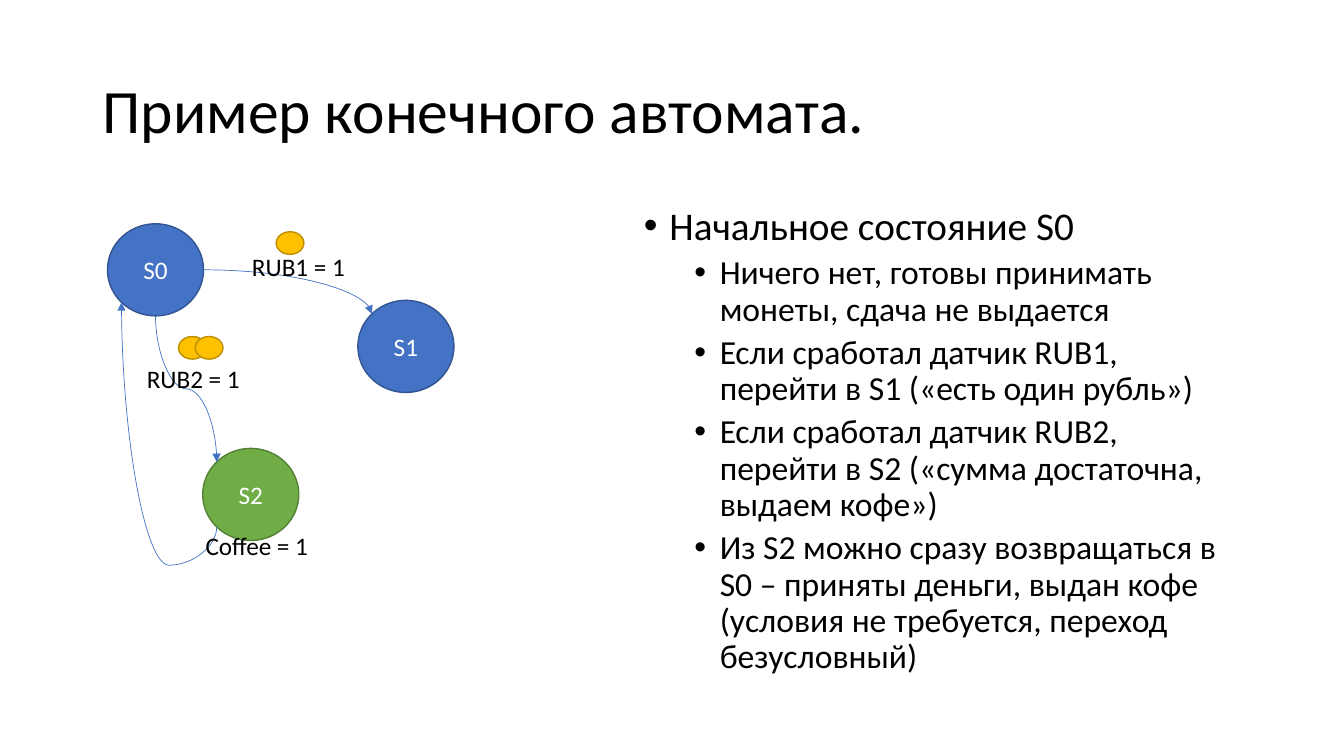
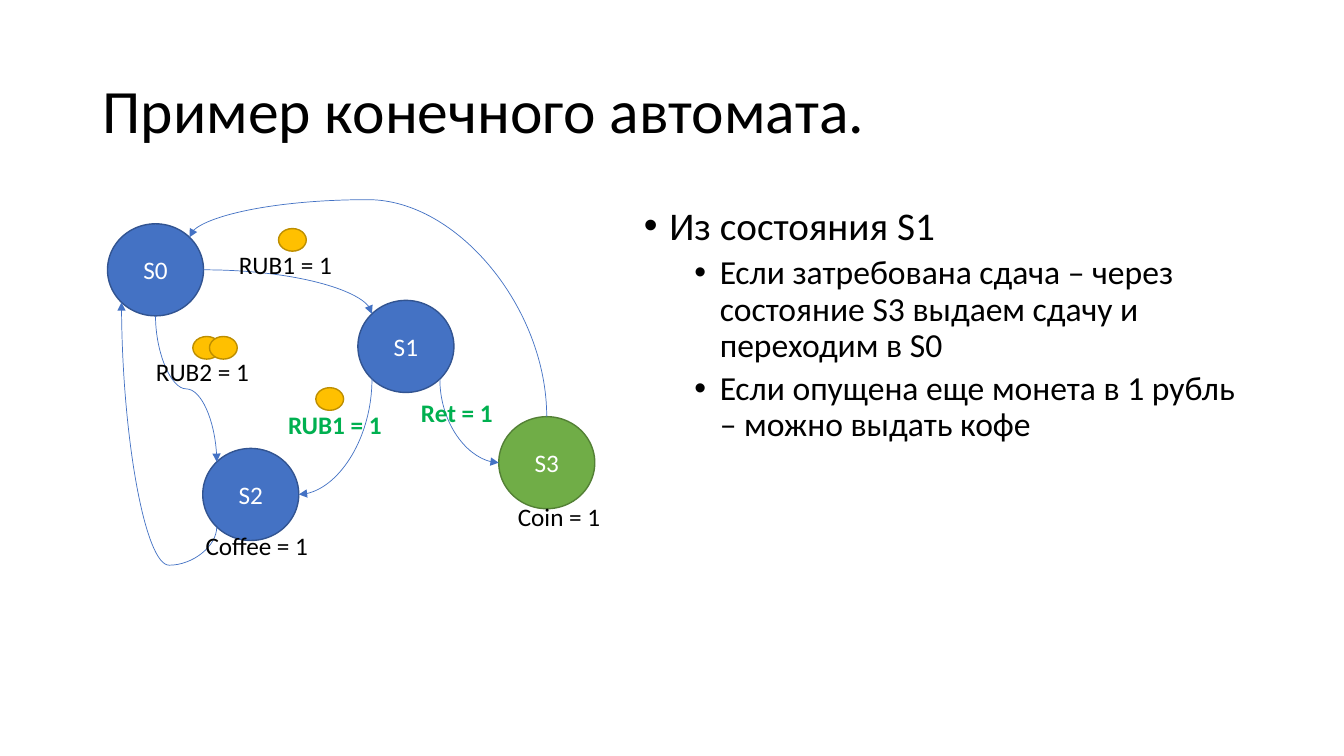
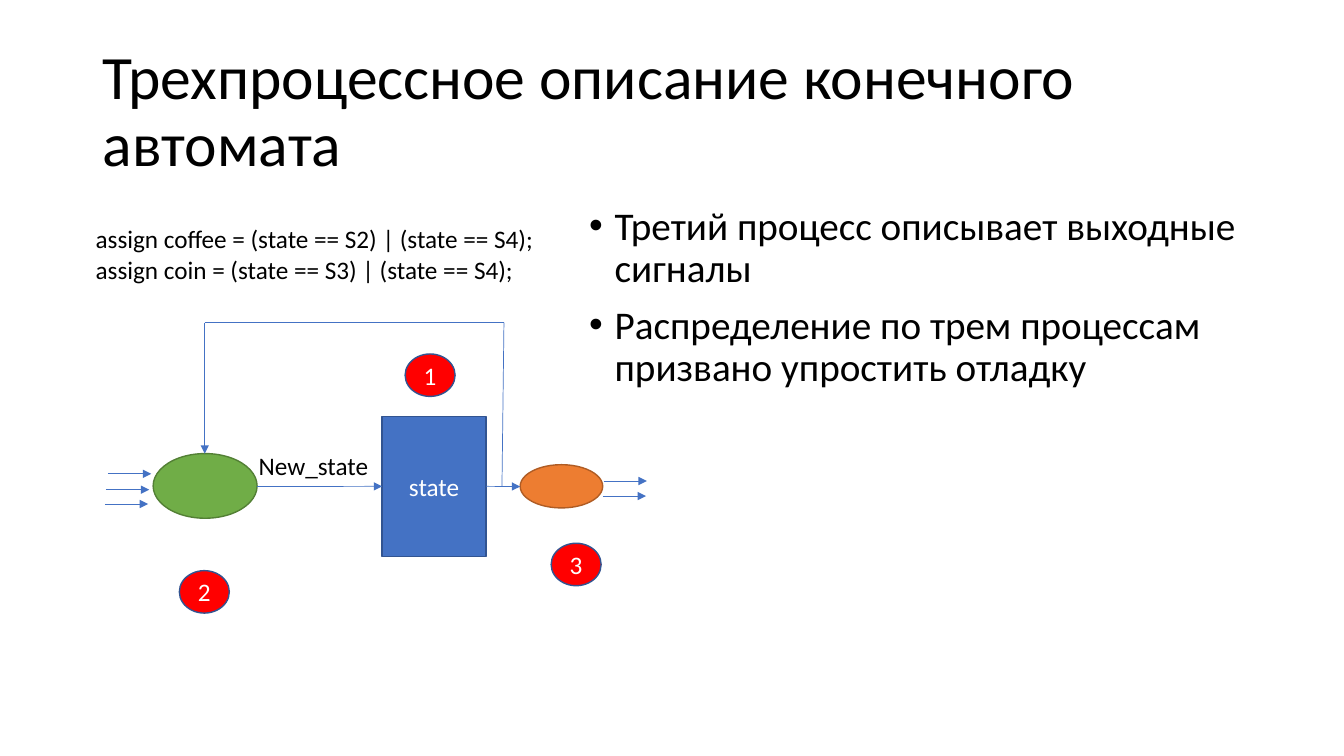
from math import cos, radians, sin

from lxml import etree
from pptx import Presentation
from pptx import util as u
from pptx.dml.color import RGBColor
from pptx.enum import shapes, text
from pptx.oxml.ns import qn

HUES = {
    "ink": "000000", "white": "FFFFFF", "lime": "00B050",
    "blue": "4472C4", "navy": "325491",
    "green": "70AD47", "moss": "538035",
    "gold": "FFC000", "ochre": "BD8E00",
    "orange": "ED7D31", "rust": "AF5C24", "red": "FF0000",
}
# Outline that goes with each fill
EDGES = {"blue": "navy", "green": "moss", "gold": "ochre",
         "orange": "rust", "red": "navy"}
FONTS = {
    "title": {"name": "Calibri", "size": u.Pt(44), "bold": False},
    "main": {"name": "Calibri", "size": u.Pt(28)},
    "sub": {"name": "Calibri", "size": u.Pt(24)},
    "note": {"name": "Calibri", "size": u.Pt(18)},
    "strong": {"name": "Calibri", "size": u.Pt(18), "bold": True},
}
LEFT, MID = text.PP_ALIGN.LEFT, text.PP_ALIGN.CENTER
TOP, CENTRE = text.MSO_ANCHOR.TOP, text.MSO_ANCHOR.MIDDLE
OVAL, RECT = shapes.MSO_SHAPE.OVAL, shapes.MSO_SHAPE.RECTANGLE
CORE = "Пример конечного автомата."


def hue(name):
    return RGBColor.from_string(HUES[name])


def site(node, idx):
    """Point on an ellipse; sites run anticlockwise from the top, 45 degrees apart."""
    turn = radians(90 + 45 * idx)
    return (node.left + node.width / 2 * (1 + cos(turn)),
            node.top + node.height / 2 * (1 - sin(turn)))


class Deck:
    def __init__(self):
        self.prs = Presentation()
        self.prs.slide_width, self.prs.slide_height = u.Cm(33.87), u.Cm(19.05)
        self.slide = None

    def page(self, title):
        self.slide = self.prs.slides.add_slide(self.prs.slide_layouts[5])
        head = self.slide.shapes.title
        place = dict(zip(("left", "top", "width", "height"),
                         map(u.Cm, (2.33, 1.01, 29.21, 3.68))))
        for key, val in place.items():
            setattr(head, key, val)
        self.label(head, [title], "title", anchor=CENTRE)
        head.text_frame.paragraphs[0].line_spacing = 0.9

    def label(self, shape, lines, style, color="ink", align=LEFT, anchor=TOP):
        frame = shape.text_frame
        form = {"word_wrap": True, "auto_size": text.MSO_AUTO_SIZE.NONE,
                "vertical_anchor": anchor}
        for key, val in form.items():
            setattr(frame, key, val)
        for i, line in enumerate(lines):
            para = frame.paragraphs[0] if i == 0 else frame.add_paragraph()
            para.alignment = align
            self.words(para, line, style, color)

    def words(self, para, line, style, color="ink"):
        run = para.add_run()
        run.text = line
        for key, val in FONTS[style].items():
            setattr(run.font, key, val)
        run.font.color.rgb = hue(color)

    def note(self, x, y, lines, w=3.5, h=1.03, style="note", color="ink"):
        box = self.slide.shapes.add_textbox(*map(u.Cm, (x, y, w, h)))
        self.label(box, lines, style, color)

    def points(self, x, w, h, items):
        """Bulleted text: items are (level, line) pairs."""
        box = self.slide.shapes.add_textbox(*map(u.Cm, (x, 5.08, w, h)))
        frame = box.text_frame
        frame.word_wrap = True
        for i, (level, line) in enumerate(items):
            para = frame.paragraphs[0] if i == 0 else frame.add_paragraph()
            form = {"level": level, "line_spacing": 0.9,
                    "space_before": u.Pt(5 if level else 10)}
            for key, val in form.items():
                setattr(para, key, val)
            self.words(para, line, "sub" if level else "main")
            props = para._p.get_or_add_pPr()
            props.set("marL", str(u.Cm(1.91 if level else 0.64)))
            props.set("indent", str(-u.Cm(0.64)))
            etree.SubElement(props, qn("a:buFont"), typeface="Arial")
            etree.SubElement(props, qn("a:buChar"), char="•")

    def shape(self, x, y, w, h, fill, label="", kind=OVAL):
        form = self.slide.shapes.add_shape(kind, *map(u.Cm, (x, y, w, h)))
        form.shadow.inherit = False
        form.fill.solid()
        form.fill.fore_color.rgb = hue(fill)
        form.line.color.rgb = hue(EDGES[fill])
        form.line.width = u.Pt(1)
        if label:
            self.label(form, [label], "note", "white", MID, CENTRE)
        return form

    def node(self, x, y, label, fill="blue"):
        return self.shape(x, y, 2.42, 2.32, fill, label)

    def coins(self, *spots):
        for x, y in spots:
            self.shape(x, y, 0.7, 0.57, "gold")

    def ink(self, link, arrow=True):
        link.line.color.rgb = hue("blue")
        link.line.width = u.Pt(0.5)
        props = link._element.spPr
        if arrow:
            etree.SubElement(props.find(qn("a:ln")), qn("a:tailEnd"),
                             type="triangle")
        etree.SubElement(props, qn("a:effectLst"))

    def line(self, x1, y1, x2, y2, arrow=True):
        link = self.slide.shapes.add_connector(
            shapes.MSO_CONNECTOR.STRAIGHT, *map(u.Cm, (x1, y1, x2, y2)))
        self.ink(link, arrow)
        return link

    def curve(self, start, i, end, j, bends=2, adjust=None):
        """Curved arrow from site i of one ellipse to site j of another."""
        (x1, y1), (x2, y2) = site(start, i), site(end, j)
        dx, dy = x2 - x1, y2 - y1
        upright = i not in (2, 6)
        ends = x1, y1, x2, y2
        if upright:
            # The frame lies on its side and is turned about its centre
            cx, cy = (x1 + x2) / 2, (y1 + y2) / 2
            half = abs(dy) / 2 * (-1 if (dx > 0) != (dy < 0) else 1)
            ends = (cx - half, cy - abs(dx) / 2, cx + half, cy + abs(dx) / 2)
        link = self.slide.shapes.add_connector(
            shapes.MSO_CONNECTOR.CURVE, *map(round, ends))
        props = link._element.spPr
        if upright:
            turn = 270 if dx > 0 else 90
            props.find(qn("a:xfrm")).set("rot", str(turn * 60000))
        geom = props.find(qn("a:prstGeom"))
        geom.set("prst", f"curvedConnector{bends}")
        if adjust is not None:
            guides = geom.find(qn("a:avLst"))
            if guides is None:
                guides = etree.SubElement(geom, qn("a:avLst"))
            etree.SubElement(guides, qn("a:gd"), name="adj1",
                             fmla=f"val {round(adjust * 100000)}")
        joints = link._element.find(".//" + qn("p:cNvCxnSpPr"))
        for tag, form, idx in (("a:stCxn", start, i), ("a:endCxn", end, j)):
            etree.SubElement(joints, qn(tag), id=str(form.shape_id), idx=str(idx))
        self.ink(link)

    def core(self, last):
        """States and moves common to both automaton slides."""
        s0 = self.node(2.71, 5.64, "S0")
        s1 = self.node(9.02, 7.57, "S1")
        s2 = self.node(5.11, 11.3, "S2", last)
        self.curve(s0, 6, s1, 1)
        self.curve(s0, 4, s2, 1, bends=3)
        self.curve(s2, 3, s0, 3, bends=3, adjust=-0.17)
        self.note(4.93, 13.23, ["Coffee = 1"])
        return s0, s1, s2


def main():
    deck = Deck()

    # Slide 1: start state
    deck.page(CORE)
    deck.points(15.98, 15.57, 12.1, [
        (0, "Начальное состояние S0"),
        (1, "Ничего нет, готовы принимать монеты, сдача не выдается"),
        (1, "Если сработал датчик RUB1, перейти в S1 («есть один рубль»)"),
        (1, "Если сработал датчик RUB2, перейти в S2 («сумма достаточна, "
            "выдаем кофе»)"),
        (1, "Из S2 можно сразу возвращаться в S0 – приняты деньги, выдан кофе "
            "(условия не требуется, переход безусловный)"),
    ])
    deck.core("green")
    deck.note(6.1, 6.2, ["RUB1 = 1"])
    deck.note(3.45, 9.02, ["RUB2 = 1"])
    deck.coins((6.96, 5.84), (4.5, 8.48), (4.92, 8.48))

    # Slide 2: moves out of S1
    deck.page(CORE)
    deck.points(15.98, 15.57, 12.1, [
        (0, "Из состояния S1"),
        (1, "Если затребована сдача – через состояние S3 выдаем сдачу и "
            "переходим в S0"),
        (1, "Если опущена еще монета в 1 рубль – можно выдать кофе"),
    ])
    s0, s1, s2 = deck.core("blue")
    s3 = deck.node(12.57, 10.5, "S3", "green")
    deck.curve(s1, 5, s3, 2)
    deck.curve(s3, 0, s0, 7, bends=3, adjust=1.21)
    deck.curve(s1, 3, s2, 6)
    for x, y, label in ((5.77, 6.15, "RUB1 = 1"), (3.68, 8.86, "RUB2 = 1"),
                        (12.8, 12.52, "Coin = 1")):
        deck.note(x, y, [label])
    for x, y, label in ((10.36, 9.88, "Ret = 1"), (7.01, 10.19, "RUB1 = 1")):
        deck.note(x, y, [label], style="strong", color="lime")
    deck.coins((4.86, 8.48), (5.28, 8.48), (7.02, 5.76), (7.96, 9.77))

    # Slide 3: three processes
    deck.page("Трехпроцессное описание конечного автомата")
    deck.points(14.6, 16.94, 6.07, [
        (0, "Третий процесс описывает выходные сигналы"),
        (0, "Распределение по трем процессам призвано упростить отладку"),
    ])
    deck.note(2.16, 5.51, ["assign coffee = (state == S2) | (state == S4);",
                           "assign coin = (state == S3) | (state == S4);"],
              w=11.99, h=2.56)

    # Blocks and their numbers
    state = deck.shape(9.63, 10.49, 2.62, 3.53, "blue", "state", RECT)
    deck.shape(3.86, 11.43, 2.62, 1.63, "green")
    deck.shape(13.11, 11.71, 2.08, 1.09, "orange")
    deck.note(6.27, 11.23, ["New_state"])
    for num, (x, y) in enumerate(((10.21, 8.92), (4.52, 14.38), (13.89, 13.69)), 1):
        deck.shape(x, y, 1.26, 1.07, "red", str(num))

    # Signals through the state register
    deck.line(6.48, 12.26, 9.63, 12.26).end_connect(state, 1)
    deck.line(12.25, 12.26, 13.11, 12.26).begin_connect(state, 3)
    # Inputs and outputs
    for x, y in ((2.72, 11.94), (2.67, 12.34), (2.64, 12.7),
                 (15.21, 12.12), (15.19, 12.5)):
        deck.line(x, y, x + 1.09, y)
    # Feedback
    deck.line(12.65, 12.26, 12.7, 8.13, arrow=False)
    deck.line(5.16, 8.13, 12.7, 8.13, arrow=False)
    deck.line(5.16, 8.13, 5.16, 11.43)

    deck.prs.save("out.pptx")


if __name__ == "__main__":
    main()
